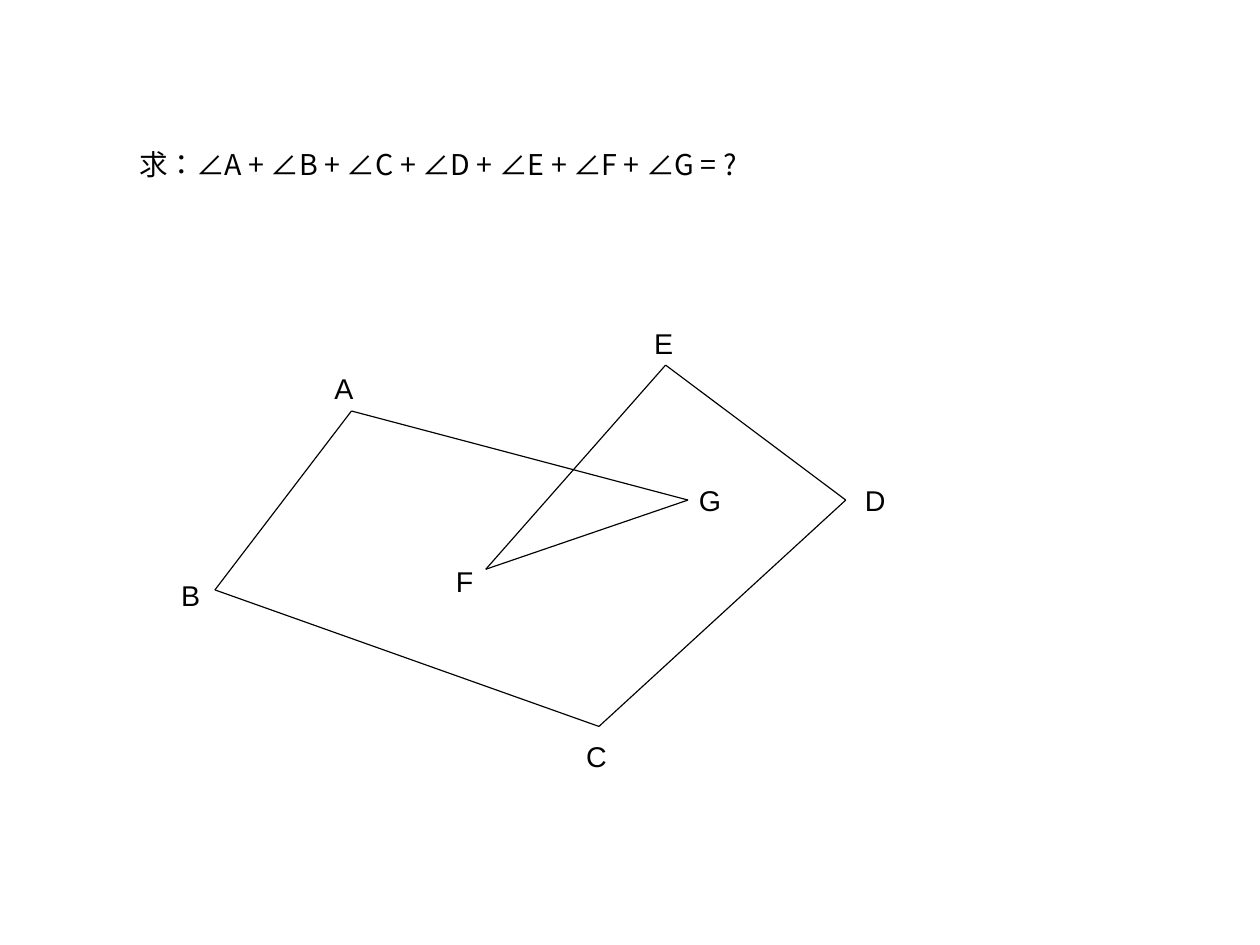
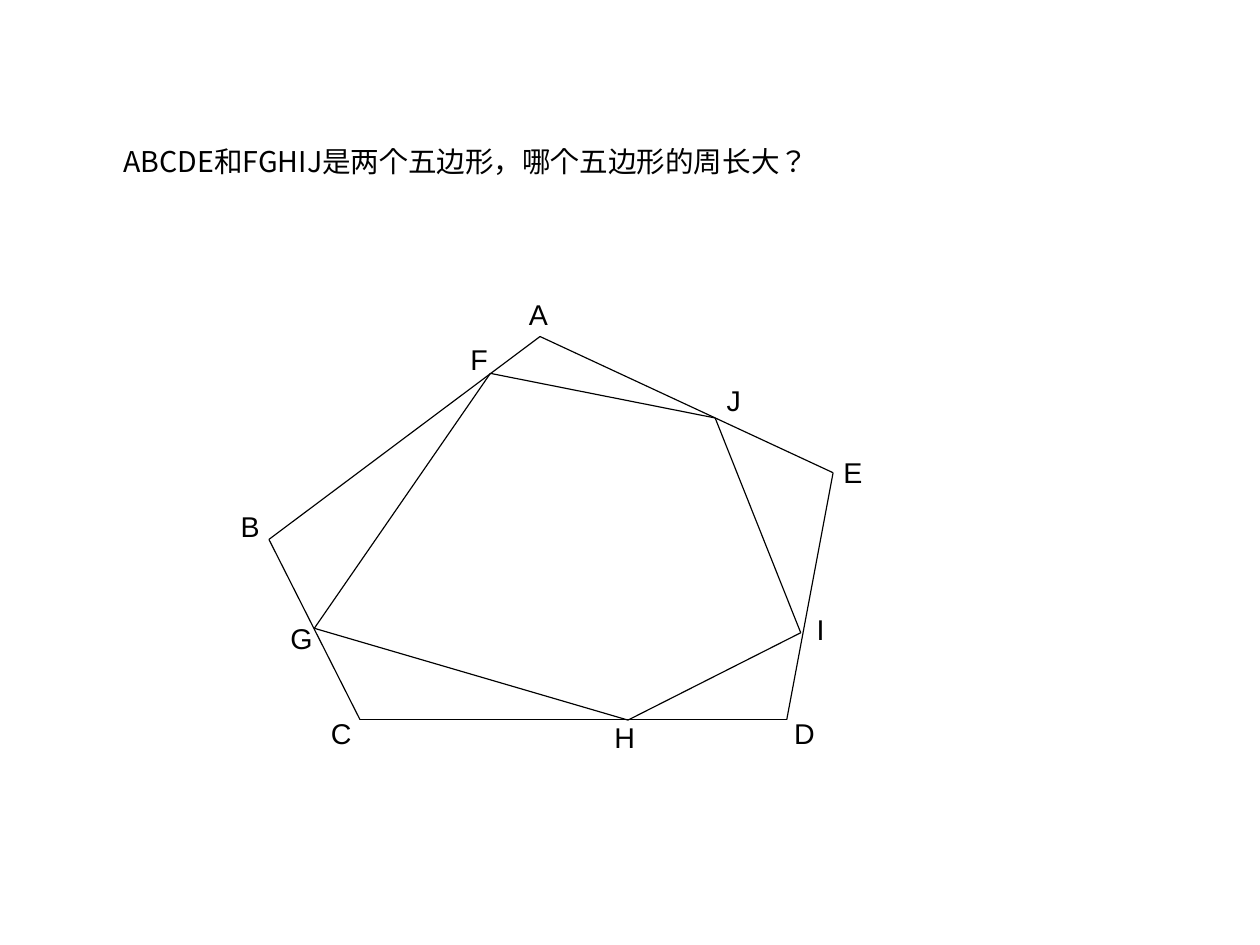
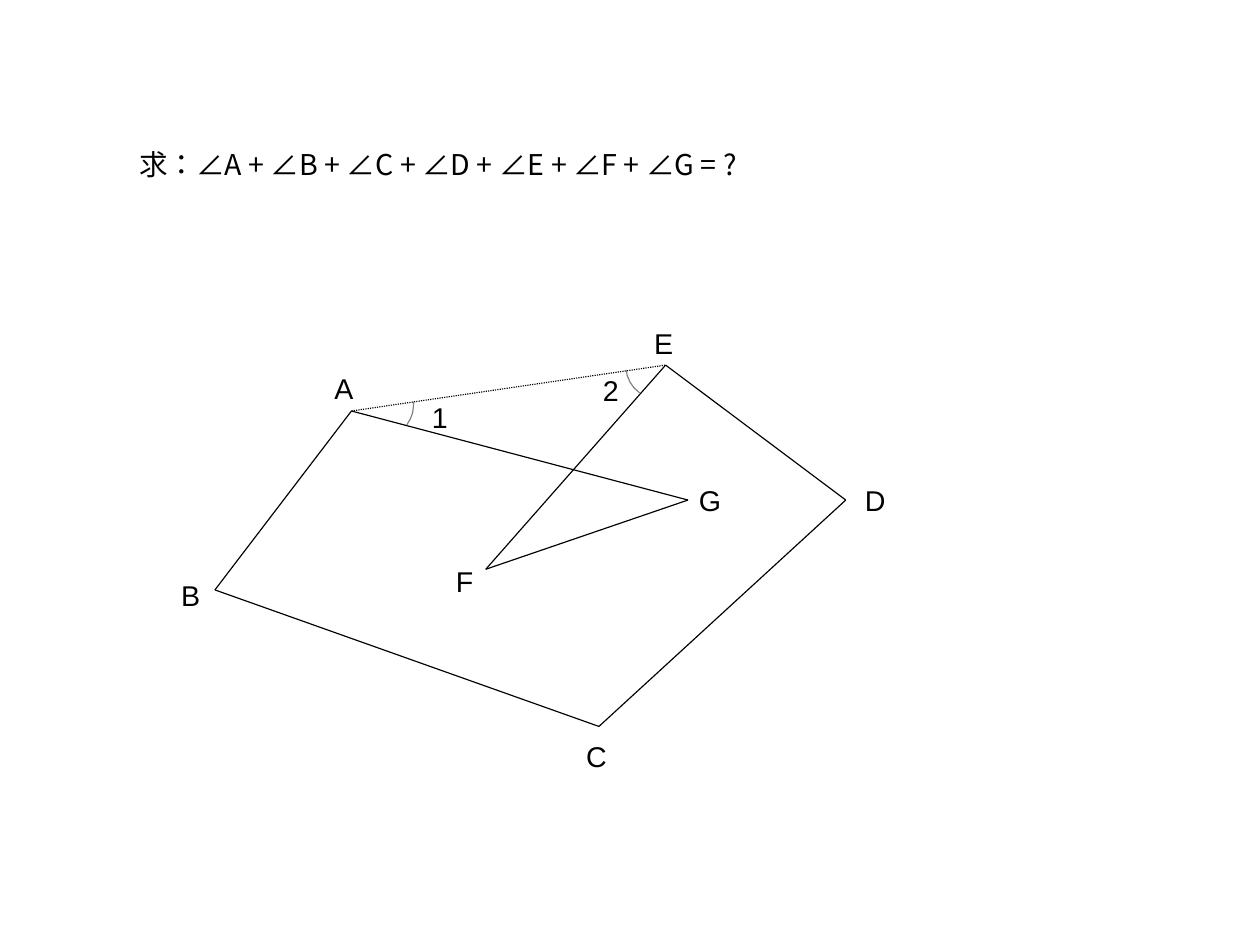
from lxml import etree
from pptx import Presentation
from pptx.dml.color import RGBColor
from pptx.enum.dml import MSO_LINE
from pptx.enum.lang import MSO_LANGUAGE_ID
from pptx.enum.shapes import MSO_CONNECTOR
from pptx.oxml.ns import qn
from pptx.util import Pt

STRAIGHT = MSO_CONNECTOR.STRAIGHT
DOTTED = MSO_LINE.ROUND_DOT
# Centres the full-width colon and question mark
CENTRED_MARKS = MSO_LANGUAGE_ID.JAPANESE

# Shared style
COLORS = {"ink": "000000", "arc": "808080"}
QUESTION_FONT, LABEL_FONT = "Noto Sans CJK SC", "Arial"
TEXT_SIZE, LINE_WIDTH = 18, 0.75
LABEL_BOX, QUESTION_BOX = (28, 28), (600, 34)

# Wording and figures; points are relative to the figure's corner
ANGLE_QUESTION = "求：∠A + ∠B + ∠C + ∠D + ∠E + ∠F + ∠G = ?"
PERIMETER_QUESTION = "ABCDE和FGHIJ是两个五边形，哪个五边形的周长大？"

STAR = {
    "corner": (100, 200),
    "outlines": ["ABCDEFG"],
    "vertices": {
        "A": (121.4, 58.9), "B": (35.4, 171.6), "C": (277.3, 257.6),
        "D": (432.8, 115), "E": (319.3, 30), "F": (206, 158.6),
        "G": (333.4, 115),
    },
    "labels": {
        "A": (103.5, 30.4), "B": (7.1, 160.7), "C": (262.2, 262.4),
        "D": (437.8, 101.3), "E": (305, 2.3), "F": (180.1, 152.1),
        "G": (333.2, 101.3),
    },
}
PENTAGONS = {
    "corner": (100, 180),
    "outlines": ["ABCDE", "FGHIJ"],
    "vertices": {
        "A": (240.2, 32), "B": (69.4, 159.8), "C": (126.8, 273.4),
        "D": (395.6, 273.4), "E": (424.8, 117.8), "F": (208.9, 55.2),
        "G": (98, 215.8), "H": (295.6, 273.6), "I": (404.4, 218.6),
        "J": (350.5, 83.3),
    },
    "labels": {
        "A": (226, 3.9), "B": (44.5, 137.5), "C": (101.4, 267.8),
        "D": (393.2, 267.8), "E": (424.2, 103.4), "F": (189.2, 32.4),
        "G": (75.9, 208.4), "H": (280, 270.3), "I": (407.4, 202.6),
        "J": (350.7, 57.9),
    },
}
ANGLE_LABELS = {"1": (165, 48.8), "2": (272.7, 31.8)}
ANGLE_ARCS = [
    [(156.3, 67.6), (158.5, 64), (159.9, 60.4), (160.4, 56.7), (160.5, 53.2)],
    [(294.5, 33.2), (295.2, 36.8), (297, 40.9), (299.3, 44.2), (303, 47.6)],
]


def color(name):
    return RGBColor.from_string(COLORS[name])


def shift(corner, point):
    return corner[0] + point[0], corner[1] + point[1]


def add_text(page, text, place, size, font, top_inset=3.6, spacing=1.0):
    box = page.shapes.add_textbox(*map(Pt, place + size))
    frame = box.text_frame
    frame.word_wrap = True
    frame.margin_left = frame.margin_right = Pt(7.2)
    frame.margin_top, frame.margin_bottom = Pt(top_inset), Pt(3.6)
    frame.text = text
    para = frame.paragraphs[0]
    para.line_spacing = spacing
    span = para.runs[0]
    span.font.name, span.font.size = font, Pt(TEXT_SIZE)
    span.font.color.rgb = color("ink")
    east_asian = etree.SubElement(span.font._element, qn("a:ea"))
    east_asian.set("typeface", font)
    return span


def add_question(page, text, place):
    span = add_text(page, text, place, QUESTION_BOX, QUESTION_FONT)
    span.font.language_id = CENTRED_MARKS


def add_side(page, start, end, dash=None):
    side = page.shapes.add_connector(STRAIGHT, *map(Pt, start + end))
    side.line.color.rgb = color("ink")
    side.line.width = Pt(LINE_WIDTH)
    if dash is not None:
        side.line.dash_style = dash
    etree.SubElement(side._element.spPr, qn("a:effectLst"))


def add_labels(page, corner, labels):
    for letter, place in labels.items():
        add_text(page, letter, shift(corner, place), LABEL_BOX, LABEL_FONT, 5, 0.93)


def add_figure(page, figure):
    """Closed outlines through lettered vertices."""
    corner, vertices = figure["corner"], figure["vertices"]
    for outline in figure["outlines"]:
        for first, second in zip(outline, outline[1:] + outline[0]):
            add_side(page, shift(corner, vertices[first]), shift(corner, vertices[second]))
    add_labels(page, corner, figure["labels"])


def add_arc(page, corner, points):
    places = [tuple(map(Pt, shift(corner, point))) for point in points]
    builder = page.shapes.build_freeform(*places[0])
    builder.add_line_segments(places[1:], close=False)
    arc = builder.convert_to_shape()
    arc.shadow.inherit = False
    arc.fill.background()
    arc.line.color.rgb = color("arc")
    arc.line.width = Pt(LINE_WIDTH)


def add_helper_line(page, figure):
    """Dotted line AE with the two angles it makes."""
    corner, vertices = figure["corner"], figure["vertices"]
    add_side(page, shift(corner, vertices["A"]), shift(corner, vertices["E"]), DOTTED)
    for points in ANGLE_ARCS:
        add_arc(page, corner, points)
    add_labels(page, corner, ANGLE_LABELS)


def add_problem(deck, question, place, figure):
    page = deck.slides.add_slide(deck.slide_layouts[6])
    add_figure(page, figure)
    add_question(page, question, place)
    return page


def main():
    deck = Presentation()
    deck.slide_width = Pt(793.7)
    deck.slide_height = Pt(595.28)

    # Angle sum, perimeters, angle sum with its helper line
    add_problem(deck, ANGLE_QUESTION, (80.6, 88.9), STAR)
    add_problem(deck, PERIMETER_QUESTION, (70.6, 87.3), PENTAGONS)
    solution = add_problem(deck, ANGLE_QUESTION, (80.6, 88.9), STAR)
    add_helper_line(solution, STAR)

    deck.save("out.pptx")


if __name__ == "__main__":
    main()
